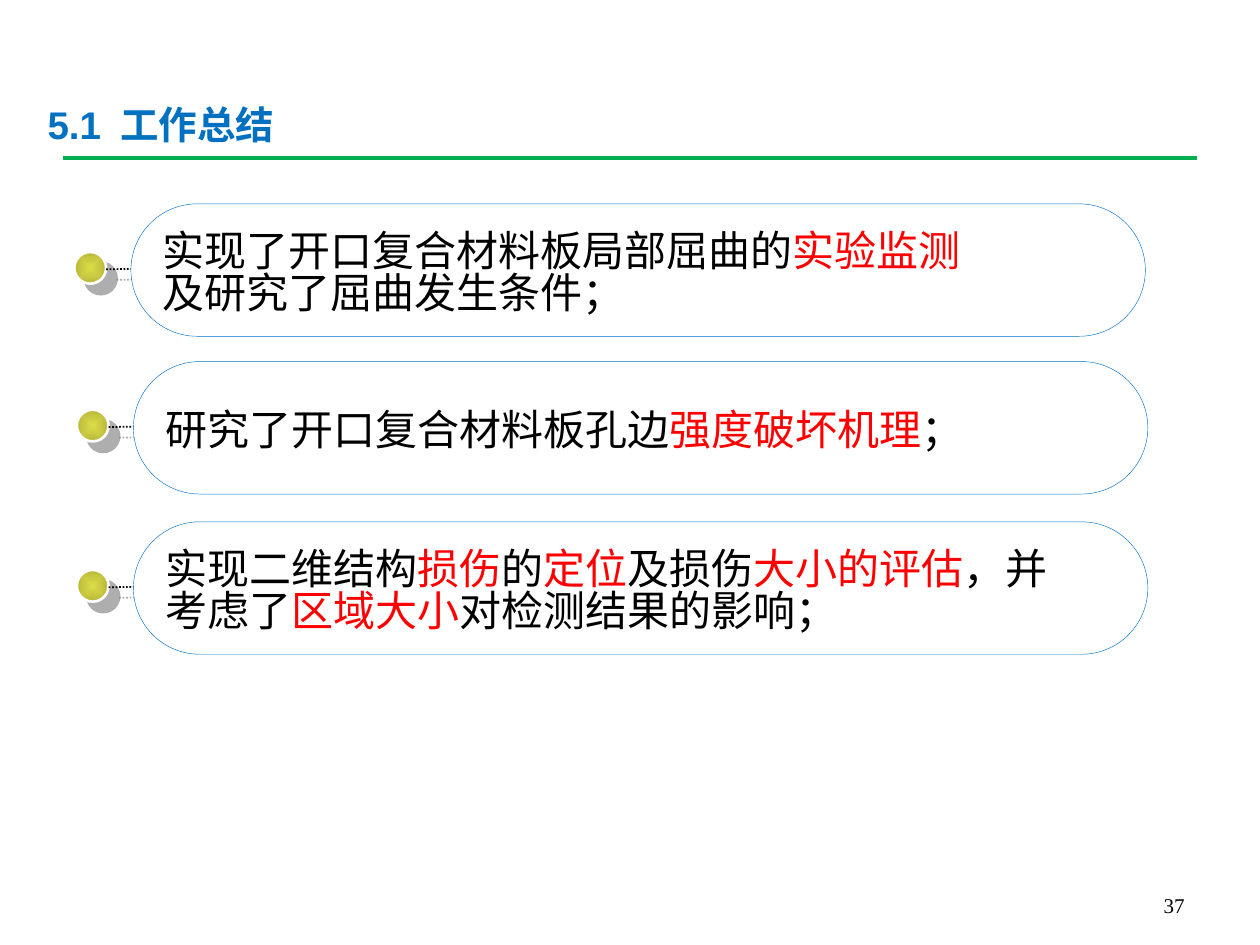
from dataclasses import dataclass

from pptx import Presentation
from pptx.dml.color import RGBColor
from pptx.enum import dml, shapes, text
from pptx.oxml import parse_xml
from pptx.oxml import ns
from pptx.util import Cm, Pt


@dataclass(frozen=True)
class Theme:
    blue: str = "0070C0"
    green: str = "00B050"
    red: str = "FF0000"
    black: str = "000000"
    white: str = "FFFFFF"
    ball_inner: str = "DCDC48"
    ball_outer: str = "B8B83C"
    shadow: str = "5F5F5F"
    title_font: str = "Arial"
    body_font: str = "Noto Sans CJK JP"
    number_font: str = "Times New Roman"
    title_size: int = 22
    body_size: int = 24
    number_size: int = 12


THEME = Theme()

POINTS = [
    (2.64, 4.11, [
        [("实现了开口复合材料板局部屈曲的", THEME.black), ("实验监测", THEME.red)],
        [("及研究了屈曲发生条件；", THEME.black)],
    ]),
    (2.69, 7.29, [
        [("研究了开口复合材料板孔边", THEME.black), ("强度破坏机理", THEME.red),
         ("；", THEME.black)],
    ]),
    (2.69, 10.52, [
        [("实现二维结构", THEME.black), ("损伤", THEME.red), ("的", THEME.black),
         ("定位", THEME.red), ("及损伤", THEME.black), ("大小的评估", THEME.red),
         ("，并", THEME.black)],
        [("考虑了", THEME.black), ("区域大小", THEME.red),
         ("对检测结果的影响；", THEME.black)],
    ]),
]


def rgb(value):
    return RGBColor.from_string(value)


def add_span(para, words, font, size, color, bold=False):
    span = para.add_run()
    span.text = words
    span.font.name = font
    span.font.size = Pt(size)
    span.font.bold = bold
    span.font.color.rgb = rgb(color)
    east_asian = parse_xml(f'<a:ea {ns.nsdecls("a")} typeface="{THEME.body_font}"/>')
    span.font._element.find(ns.qn("a:latin")).addnext(east_asian)


def set_effect(shape, shadow=""):
    shape._element.spPr.append(
        parse_xml(f'<a:effectLst {ns.nsdecls("a")}>{shadow}</a:effectLst>'))


def drop_shadow():
    return (f'<a:outerShdw dist="{Pt(8.5)}" dir="2700000" algn="ctr" rotWithShape="0">'
            f'<a:srgbClr val="{THEME.shadow}"><a:alpha val="50000"/></a:srgbClr>'
            '</a:outerShdw>')


def add_line(parent, start, end, color, width):
    line = parent.shapes.add_connector(
        shapes.MSO_CONNECTOR.STRAIGHT, *(Cm(n) for n in start + end))
    line.line.color.rgb = rgb(color)
    line.line.width = Pt(width)
    return line


def add_title(page, left, top, width, height):
    box = page.shapes.add_textbox(Cm(left), Cm(top), Cm(width), Cm(height))
    frame = box.text_frame
    frame.word_wrap = True
    frame.margin_top = Cm(0.3)
    para = frame.paragraphs[0]
    para._p.get_or_add_pPr().append(parse_xml(
        f'<a:tabLst {ns.nsdecls("a")}><a:tab pos="{Cm(1.47)}" algn="l"/></a:tabLst>'))
    add_span(para, "5.1\t工作总结", THEME.title_font, THEME.title_size, THEME.blue, True)
    rule = add_line(page, (1.27, 3.18), (24.13, 3.18), THEME.green, 2.25)
    set_effect(rule)


def add_marker(page, left, top):
    marker = page.shapes.add_group_shape()
    ball = marker.shapes.add_shape(
        shapes.MSO_SHAPE.OVAL, Cm(left), Cm(top), Cm(0.64), Cm(0.64))
    ball.fill.gradient()
    for stop, color in zip(ball.fill.gradient_stops, (THEME.ball_inner, THEME.ball_outer)):
        stop.color.rgb = rgb(color)
    gradient = ball._element.spPr.find(ns.qn("a:gradFill"))
    gradient.replace(gradient.find(ns.qn("a:lin")), parse_xml(
        f'<a:path {ns.nsdecls("a")} path="shape">'
        '<a:fillToRect l="50000" t="50000" r="50000" b="50000"/></a:path>'))
    ball.line.color.rgb = rgb(THEME.white)
    ball.line.width = Pt(1.5)
    set_effect(ball, drop_shadow())

    leader = add_line(marker, (left + 0.64, top + 0.35), (left + 1.59, top + 0.33),
                      THEME.black, 1)
    leader.line.dash_style = dml.MSO_LINE.ROUND_DOT
    set_effect(leader, drop_shadow())


def add_point(page, left, top, width, height, lines):
    add_marker(page, left - 1.14, top + 0.97)
    pill = page.shapes.add_shape(
        shapes.MSO_SHAPE.ROUNDED_RECTANGLE, Cm(left), Cm(top), Cm(width), Cm(height))
    pill.adjustments[0] = 0.5
    pill.shadow.inherit = False
    pill.fill.solid()
    pill.fill.fore_color.rgb = rgb(THEME.white)
    pill.line.color.rgb = rgb(THEME.blue)
    pill.line.width = Pt(0.25)
    frame = pill.text_frame
    frame.word_wrap = False
    frame.vertical_anchor = text.MSO_ANCHOR.MIDDLE
    frame.margin_top = Cm(0.33)
    for index, spans in enumerate(lines):
        para = frame.add_paragraph() if index else frame.paragraphs[0]
        para.alignment = text.PP_ALIGN.LEFT
        para.line_spacing = 0.84
        for words, color in spans:
            add_span(para, words, THEME.body_font, THEME.body_size, color)


def add_page_number(page, left, top, width, height):
    box = page.shapes.add_textbox(Cm(left), Cm(top), Cm(width), Cm(height))
    frame = box.text_frame
    frame.word_wrap = True
    frame.vertical_anchor = text.MSO_ANCHOR.BOTTOM
    para = frame.paragraphs[0]
    para.alignment = text.PP_ALIGN.RIGHT
    add_span(para, "37", THEME.number_font, THEME.number_size, THEME.black)


def main():
    deck = Presentation()
    deck.slide_width, deck.slide_height = Cm(25.4), Cm(19.05)
    page = deck.slides.add_slide(deck.slide_layouts[6])
    add_title(page, 0.71, 1.73, 20.35, 2.41)
    for left, top, lines in POINTS:
        add_point(page, left, top, 20.45, 2.67, lines)
    add_page_number(page, 18.21, 17.35, 5.92, 1.27)
    deck.save("out.pptx")


if __name__ == "__main__":
    main()
